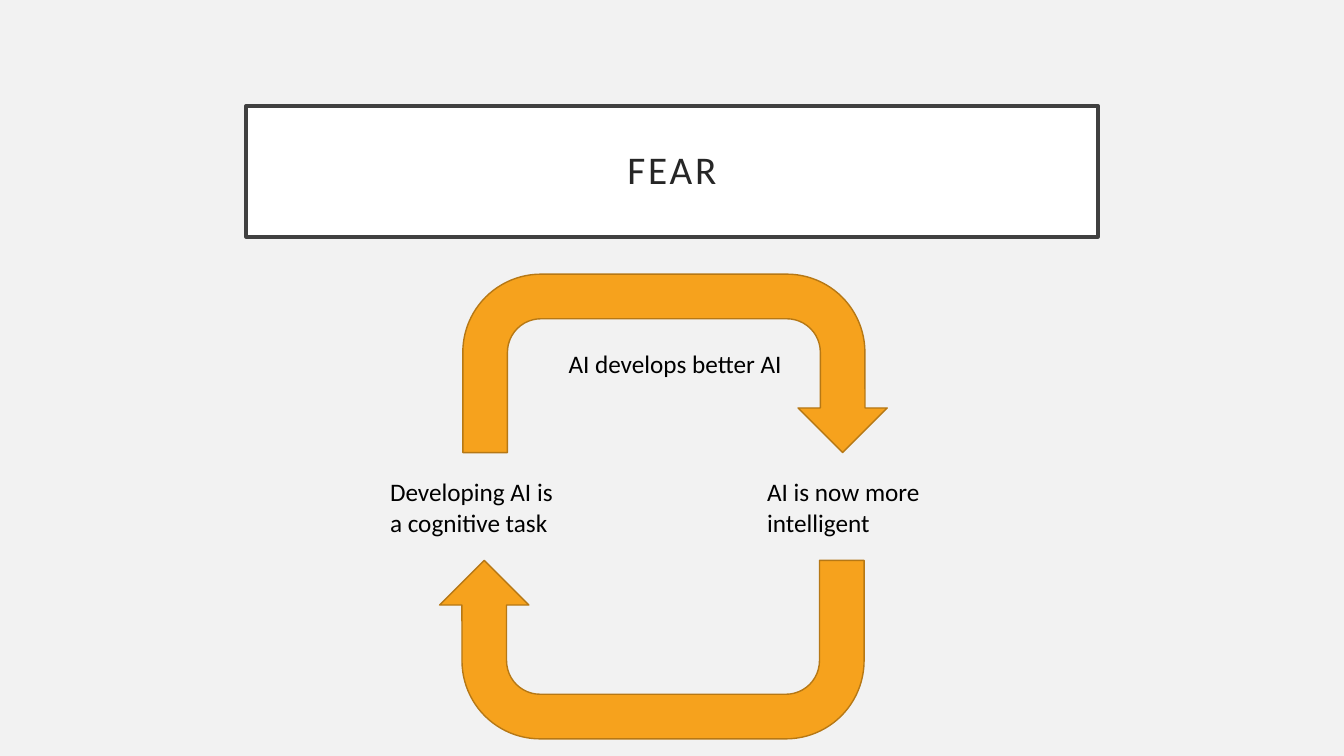
from pptx import Presentation
from pptx.dml.color import RGBColor
from pptx.enum import shapes, text
from pptx.util import Inches, Pt

# Content
TITLE = "FEAR"
ARROWS = [  # left, top, rotation, wording
    (4.59, 2.72, 0, "AI develops better AI"),
    (4.36, 5.56, 180, ""),
]
STEPS = [  # left, width, wording
    (3.77, 1.95, "Developing AI is a cognitive task"),
    (7.51, 1.88, "AI is now more intelligent"),
]

# Format
WIDTH, HEIGHT = 13.33, 7.5
TITLE_TOP, TITLE_WIDTH, TITLE_HEIGHT = 1.05, 8.45, 1.3
ARROW_WIDTH, ARROW_HEIGHT = 4.21, 1.77
ARROW_BENDS = (0.25, 0.25, 0.25, 0.438, 1)
STEP_TOP, STEP_HEIGHT = 4.68, 0.71
BACKGROUND = RGBColor(0xF2, 0xF2, 0xF2)
WHITE = RGBColor(0xFF, 0xFF, 0xFF)
FRAME = RGBColor(0x40, 0x40, 0x40)
TITLE_INK = RGBColor(0x26, 0x26, 0x26)
BLACK = RGBColor(0, 0, 0)
ORANGE = RGBColor(0xF6, 0xA2, 0x1D)
BROWN = RGBColor(0xB6, 0x78, 0x15)


def inches(*lengths):
    return [Inches(length) for length in lengths]


def paint(shape, fill, line, weight):
    shape.fill.solid()
    shape.fill.fore_color.rgb = fill
    shape.line.color.rgb = line
    shape.line.width = Pt(weight)


def write(shape, wording, size, color, align, **frame_format):
    frame = shape.text_frame
    for name, value in {"word_wrap": True, **frame_format}.items():
        setattr(frame, name, value)
    para = frame.paragraphs[0]
    para.alignment = align
    span = para.add_run()
    span.text = wording
    for name, value in {"name": "Calibri", "size": Pt(size), "bold": False}.items():
        setattr(span.font, name, value)
    span.font.color.rgb = color
    return para, span


deck = Presentation()
deck.slide_width, deck.slide_height = inches(WIDTH, HEIGHT)
page = deck.slides.add_slide(deck.slide_layouts[5])
page.background.fill.solid()
page.background.fill.fore_color.rgb = BACKGROUND

# Framed title, centred across the slide
title = page.shapes.title
title.left, title.top, title.width, title.height = inches(
    (WIDTH - TITLE_WIDTH) / 2, TITLE_TOP, TITLE_WIDTH, TITLE_HEIGHT)
paint(title, WHITE, FRAME, 2.5)
margins = {f"margin_{side}": Inches(0.2) for side in ("left", "top", "right", "bottom")}
para, span = write(title, TITLE, 28, TITLE_INK, text.PP_ALIGN.CENTER,
                   vertical_anchor=text.MSO_ANCHOR.MIDDLE,
                   auto_size=text.MSO_AUTO_SIZE.NONE, **margins)
para.line_spacing = 0.9
span.font._element.set("spc", "200")

# Two turning arrows that close the loop
for left, top, rotation, wording in ARROWS:
    arrow = page.shapes.add_shape(
        shapes.MSO_SHAPE.U_TURN_ARROW, *inches(left, top, ARROW_WIDTH, ARROW_HEIGHT))
    arrow.rotation = rotation
    arrow.shadow.inherit = False
    for index, bend in enumerate(ARROW_BENDS):
        arrow.adjustments[index] = bend
    paint(arrow, ORANGE, BROWN, 1)
    if wording:
        write(arrow, wording, 18, BLACK, text.PP_ALIGN.CENTER,
              vertical_anchor=text.MSO_ANCHOR.MIDDLE)

# Steps between the arrows
for left, width, wording in STEPS:
    box = page.shapes.add_textbox(*inches(left, STEP_TOP, width, STEP_HEIGHT))
    write(box, wording, 18, BLACK, text.PP_ALIGN.LEFT,
          auto_size=text.MSO_AUTO_SIZE.SHAPE_TO_FIT_TEXT)

deck.save("out.pptx")
